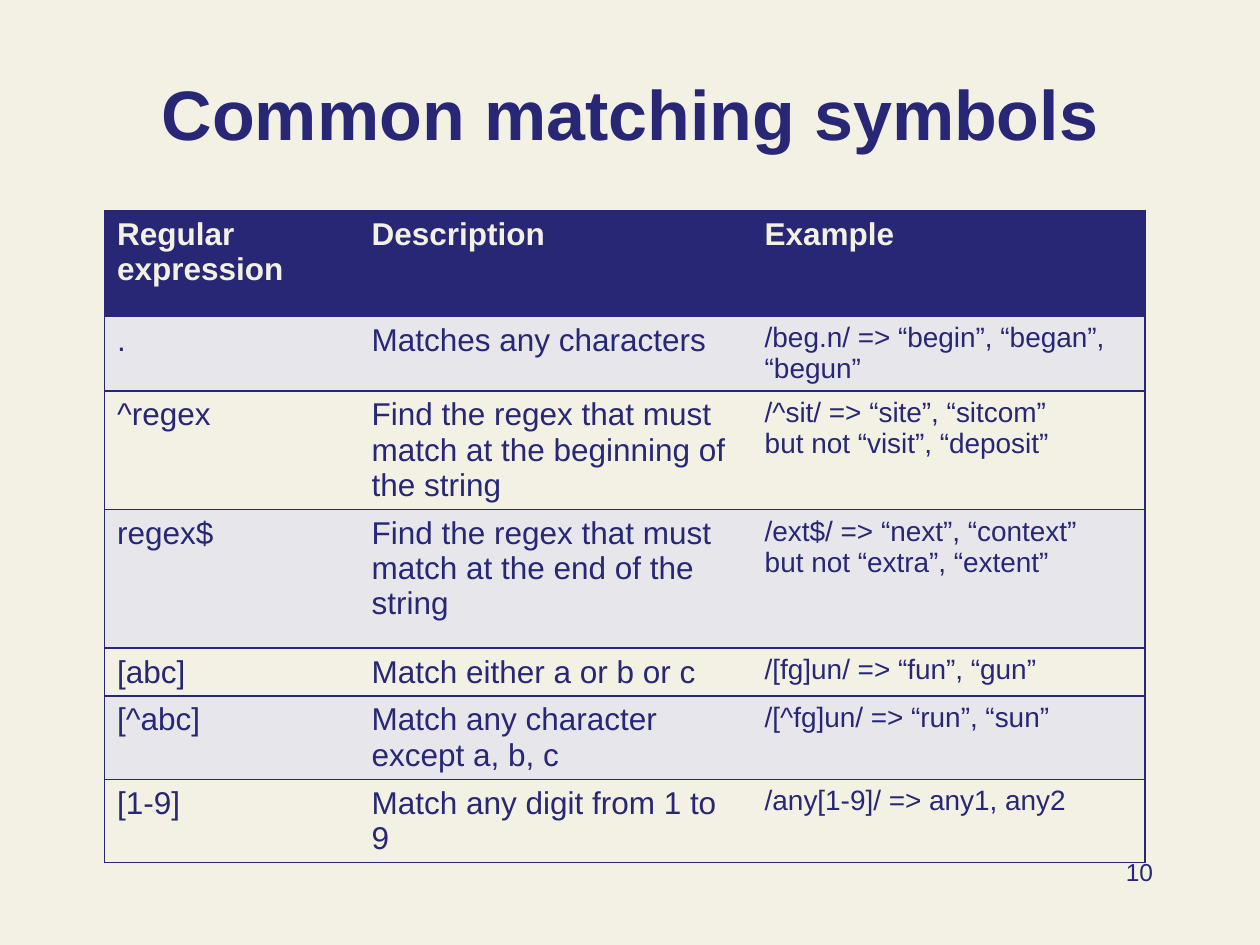
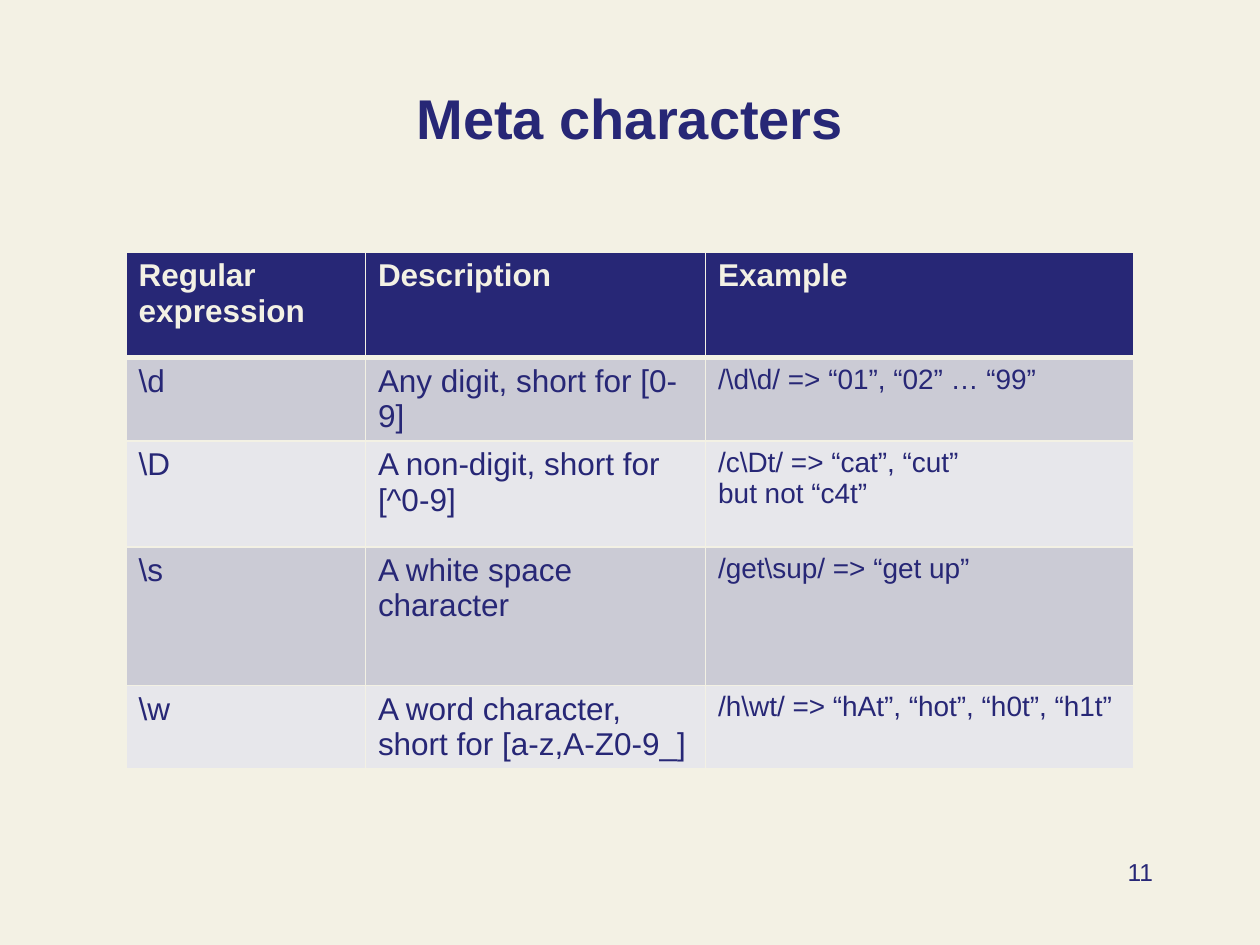
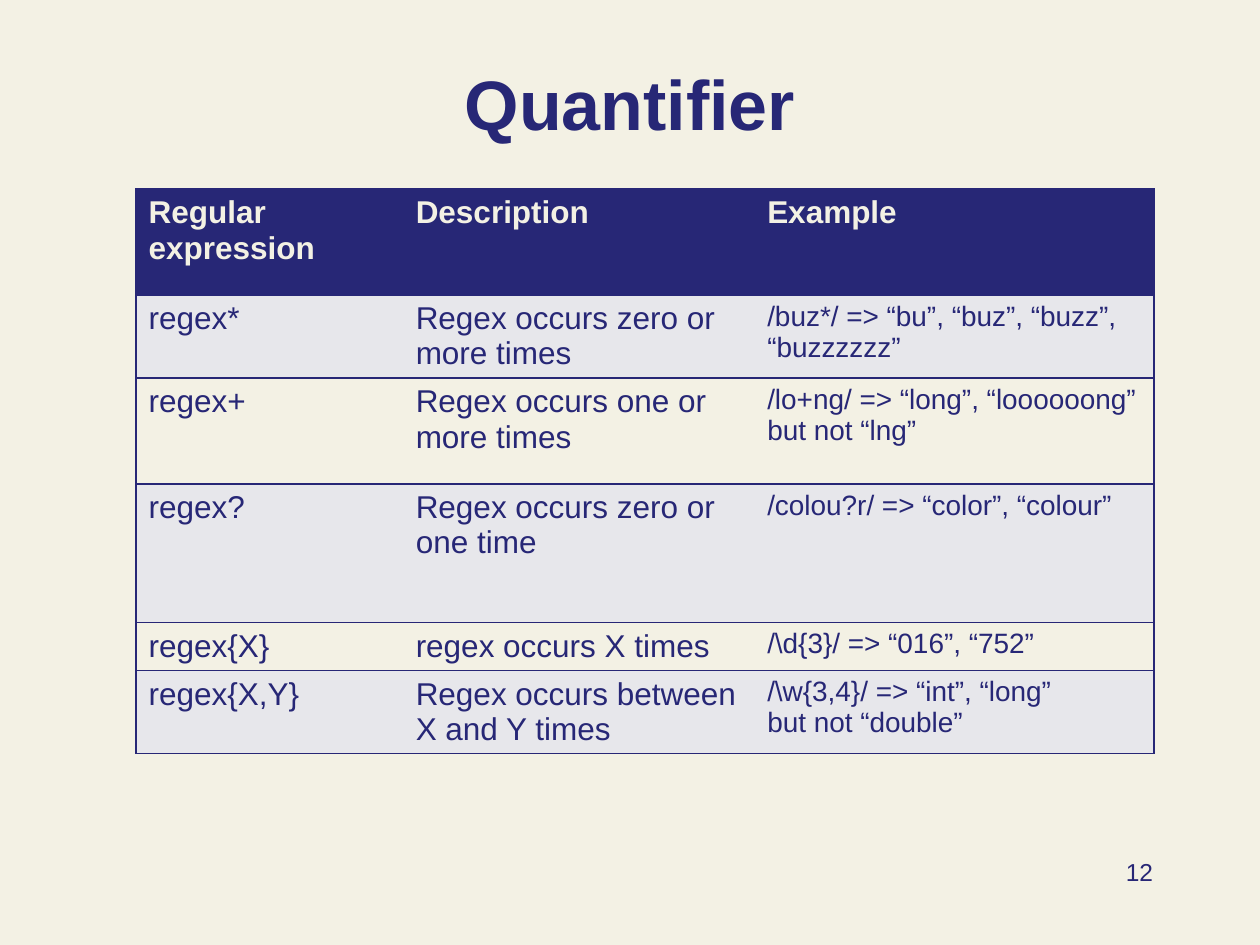
from dataclasses import dataclass

from lxml.etree import SubElement
from pptx import Presentation
from pptx.dml.color import RGBColor
from pptx.enum.text import MSO_ANCHOR, MSO_AUTO_SIZE, PP_ALIGN
from pptx.oxml.ns import qn
from pptx.util import Inches, Pt


@dataclass(frozen=True)
class Theme:
    font: str = "Arial"
    navy: str = "272776"
    cream: str = "F3F1E4"
    light: str = "E7E7EB"
    grey: str = "CBCBD5"
    cell_size: int = 18
    example_size: int = 16
    number_size: int = 14


theme = Theme()


def write(frame, text, size, color, bold=False, align=None):
    frame.text = text
    for paragraph in frame.paragraphs:
        paragraph.alignment = align
        for run in paragraph.runs:
            run.font.name = theme.font
            run.font.size = Pt(size)
            run.font.bold = bold
            run.font.color.rgb = RGBColor.from_string(color)


def set_borders(cell, color, widths):
    """Draw the left, right, top and bottom borders; a width of 0 hides one."""
    properties = cell._tc.get_or_add_tcPr()
    for position, (side, width) in enumerate(zip("LRTB", widths)):
        line = SubElement(properties, qn(f"a:ln{side}"), w=str(Pt(width)))
        if width:
            fill = SubElement(line, qn("a:solidFill"))
            SubElement(fill, qn("a:srgbClr"), val=color)
        else:
            SubElement(line, qn("a:noFill"))
        properties.insert(position, line)  # borders come before the fill


HEADINGS = ("Regular expression", "Description", "Example")
FIRST_ROW_HEIGHTS = (0.84, 0.34, 0.84, 1.1)
OTHER_ROW_HEIGHT = 0.34
FIRST_NUMBER = 10

# "title_box" is top and height; "table_at" is left and top.
topics = [
    {
        "title": "Common matching symbols",
        "title_size": 40,
        "title_box": (0.5, 0.78),
        "table_at": (0.83, 1.67),
        "columns": (2.02, 3.12, 3.12),
        "gridded": False,
        "rows": [
            (".", "Matches any characters", "/beg.n/ => “begin”, “began”, “begun”"),
            ("^regex", "Find the regex that must match at the beginning of the string",
             "/^sit/ => “site”, “sitcom”\nbut not “visit”, “deposit”"),
            ("regex$", "Find the regex that must match at the end of the string",
             "/ext$/ => “next”, “context”\nbut not “extra”, “extent”"),
            ("[abc]", "Match either a or b or c", "/[fg]un/ => “fun”, “gun”"),
            ("[^abc]", "Match any character except a, b, c", "/[^fg]un/ => “run”, “sun”"),
            ("[1-9]", "Match any digit from 1 to 9", "/any[1-9]/ => any1, any2"),
        ],
    },
    {
        "title": "Meta characters",
        "title_size": 32,
        "title_box": (0.3, 0.95),
        "table_at": (1, 2),
        "columns": (1.9, 2.7, 3.4),
        "gridded": True,
        "rows": [
            ("\\d", "Any digit, short for [0-9]", "/\\d\\d/ => “01”, “02” … “99”"),
            ("\\D", "A non-digit, short for [^0-9]",
             "/c\\Dt/ => “cat”, “cut”\nbut not “c4t”"),
            ("\\s", "A white space character", "/get\\sup/ => “get up”"),
            ("\\w", "A word character, short for [a-z,A-Z0-9_]",
             "/h\\wt/ => “hAt”, “hot”, “h0t”, “h1t”"),
        ],
    },
    {
        "title": "Quantifier",
        "title_size": 40,
        "title_box": (0.42, 0.78),
        "table_at": (1.08, 1.5),
        "columns": (2.12, 2.79, 3.17),
        "gridded": False,
        "rows": [
            ("regex*", "Regex occurs zero or more times",
             "/buz*/ => “bu”, “buz”, “buzz”, “buzzzzzz”"),
            ("regex+", "Regex occurs one or more times",
             "/lo+ng/ => “long”, “loooooong”\nbut not “lng”"),
            ("regex?", "Regex occurs zero or one time", "/colou?r/ => “color”, “colour”"),
            ("regex{X}", "regex occurs X times", "/\\d{3}/ => “016”, “752”"),
            ("regex{X,Y}", "Regex occurs between X and Y times",
             "/\\w{3,4}/ => “int”, “long”\nbut not “double”"),
        ],
    },
]

deck = Presentation()
deck.slide_width, deck.slide_height = Inches(10), Inches(7.5)
backdrop = deck.slide_master.background.fill
backdrop.solid()
backdrop.fore_color.rgb = RGBColor.from_string(theme.cream)
title_only = deck.slide_layouts[5]

for number, topic in enumerate(topics, FIRST_NUMBER):
    slide = deck.slides.add_slide(title_only)

    title = slide.shapes.title
    top, height = topic["title_box"]
    title.left, title.top = Inches(0.5), Inches(top)
    title.width, title.height = Inches(9), Inches(height)
    title.text_frame.auto_size = MSO_AUTO_SIZE.NONE
    title.text_frame.vertical_anchor = MSO_ANCHOR.BOTTOM
    write(title.text_frame, topic["title"], topic["title_size"], theme.navy,
          bold=True, align=PP_ALIGN.CENTER)

    rows = [HEADINGS, *topic["rows"]]
    columns = topic["columns"]
    heights = [*FIRST_ROW_HEIGHTS, *[OTHER_ROW_HEIGHT] * len(rows)][:len(rows)]
    left, top = topic["table_at"]
    symbols = slide.shapes.add_table(
        len(rows), len(columns), Inches(left), Inches(top),
        Inches(sum(columns)), Inches(sum(heights))).table
    for column, width in zip(symbols.columns, columns):
        column.width = Inches(width)
    for row, height in zip(symbols.rows, heights):
        row.height = Inches(height)

    gridded = topic["gridded"]
    bands = (theme.light, theme.grey) if gridded else (theme.cream, theme.light)
    last = len(columns) - 1
    for r, texts in enumerate(rows):
        is_header = r == 0
        for c, text in enumerate(texts):
            cell = symbols.cell(r, c)
            cell.fill.solid()
            cell.fill.fore_color.rgb = RGBColor.from_string(
                theme.navy if is_header else bands[r % 2])
            is_example = c == last and not is_header
            write(cell.text_frame, text,
                  theme.example_size if is_example else theme.cell_size,
                  theme.cream if is_header else theme.navy, bold=is_header)
            if gridded:
                set_borders(cell, theme.cream,
                            (1, 1, 3 if r == 1 else 1, 3 if is_header else 1))
            else:
                set_borders(cell, theme.navy, (int(c == 0), int(c == last), 1, 1))

    page_number = slide.shapes.add_textbox(
        Inches(7.17), Inches(6.75), Inches(2.08), Inches(0.5)).text_frame
    page_number.word_wrap = True
    write(page_number, str(number), theme.number_size, theme.navy, align=PP_ALIGN.RIGHT)

deck.save("out.pptx")
